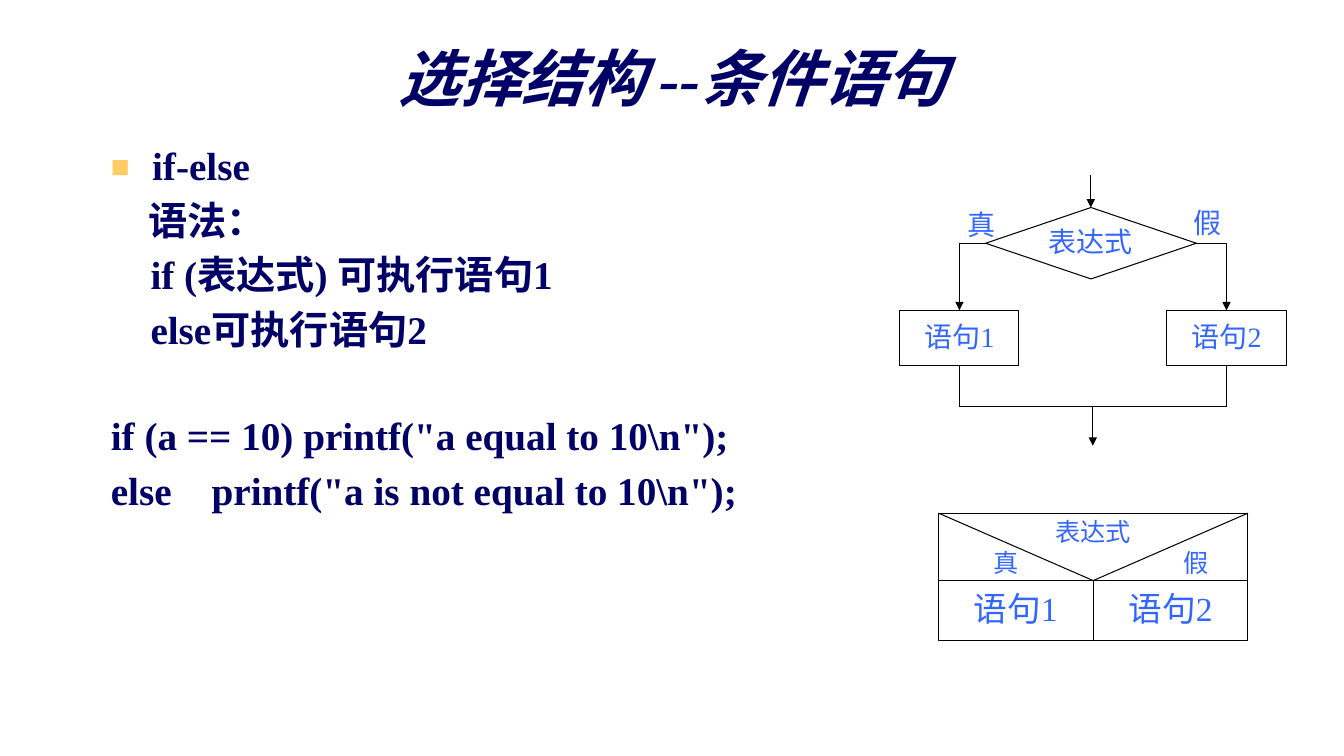
from dataclasses import dataclass

from lxml.etree import SubElement
from pptx import Presentation
from pptx.dml.color import RGBColor
from pptx.enum.shapes import MSO_CONNECTOR, MSO_SHAPE
from pptx.enum.text import MSO_ANCHOR, MSO_AUTO_SIZE, PP_ALIGN
from pptx.oxml import parse_xml
from pptx.oxml.ns import nsdecls, qn
from pptx.util import Cm, Pt

NAVY = RGBColor(0x00, 0x00, 0x66)
BLUE = RGBColor(0x33, 0x66, 0xFF)
BLACK = RGBColor(0x00, 0x00, 0x00)
FONT = "Times New Roman"


@dataclass
class SyntaxLine:
    text: str
    before: float = 7
    margin: float = 0
    indent: float = 0
    tab: float = 0
    bullet: bool = False


@dataclass
class Node:
    kind: MSO_SHAPE
    text: str
    left: float
    top: float
    width: float
    height: float
    size: int
    anchor: MSO_ANCHOR = MSO_ANCHOR.MIDDLE


@dataclass
class Label:
    text: str
    center_x: float
    center_y: float
    size: int


@dataclass
class Stroke:
    start: tuple[float, float]
    end: tuple[float, float]
    arrow: bool = False


def format_text(frame, size, color, bold=False):
    frame.auto_size = MSO_AUTO_SIZE.NONE
    for paragraph in frame.paragraphs:
        for run in paragraph.runs:
            run.font.name = FONT
            run.font.size = Pt(size)
            run.font.bold = bold
            run.font.color.rgb = color


def center_text(frame, text: str, size: int, anchor: MSO_ANCHOR):
    frame.text = text
    frame.word_wrap = False
    frame.vertical_anchor = anchor
    frame.paragraphs[0].alignment = PP_ALIGN.CENTER
    frame.paragraphs[0].line_spacing = 0.95
    format_text(frame, size, BLUE)


def draw_node(slide, node: Node):
    shape = slide.shapes.add_shape(
        node.kind, Cm(node.left), Cm(node.top), Cm(node.width), Cm(node.height))
    shape.shadow.inherit = False
    shape.fill.background()
    shape.line.color.rgb = BLACK
    shape.line.width = Pt(0.75)
    center_text(shape.text_frame, node.text, node.size, node.anchor)
    return shape


def draw_label(slide, label: Label) -> None:
    width, height = 1.2, 1.0
    box = slide.shapes.add_textbox(
        Cm(label.center_x - width / 2), Cm(label.center_y - height / 2),
        Cm(width), Cm(height))
    center_text(box.text_frame, label.text, label.size, MSO_ANCHOR.MIDDLE)


def style_connector(connector, arrow: bool) -> None:
    connector.line.color.rgb = BLACK
    connector.line.width = Pt(0.75)
    properties = connector._element.spPr
    if arrow:
        SubElement(properties.find(qn("a:ln")), qn("a:tailEnd"), type="triangle")
    SubElement(properties, qn("a:effectLst"))


def draw_stroke(slide, stroke: Stroke) -> None:
    connector = slide.shapes.add_connector(
        MSO_CONNECTOR.STRAIGHT, *map(Cm, stroke.start), *map(Cm, stroke.end))
    style_connector(connector, stroke.arrow)


def draw_branch(slide, decision, side: int, statement) -> None:
    branch = slide.shapes.add_connector(MSO_CONNECTOR.ELBOW, 0, 0, 0, 0)
    branch.begin_connect(decision, side)
    branch.end_connect(statement, 0)
    branch._element.spPr.find(qn("a:prstGeom")).set("prst", "bentConnector2")
    style_connector(branch, True)


def place(shape, left: float, top: float, width: float, height: float) -> None:
    shape.left, shape.top = Cm(left), Cm(top)
    shape.width, shape.height = Cm(width), Cm(height)


def write_title(slide) -> None:
    title = slide.shapes.title
    place(title, 2.51, 0.91, 28.88, 2.34)
    frame = title.text_frame
    frame.text = "选择结构 --条件语句"
    frame.vertical_anchor = MSO_ANCHOR.MIDDLE
    frame.paragraphs[0].alignment = PP_ALIGN.CENTER
    frame.paragraphs[0].line_spacing = 0.85
    format_text(frame, 44, NAVY, bold=True)
    run = frame.paragraphs[0].runs[0]
    run.font.italic = True
    run._r.rPr.find(qn("a:solidFill")).addnext(parse_xml(
        f'<a:effectLst {nsdecls("a")}><a:outerShdw dist="38100" dir="2700000">'
        '<a:srgbClr val="000000"/></a:outerShdw></a:effectLst>'))


def write_syntax(slide, lines: list[SyntaxLine]) -> None:
    body = slide.placeholders[1]
    place(body, 2.54, 3.53, 28.78, 14.2)
    frame = body.text_frame
    frame.text = "\n".join(line.text for line in lines)
    frame.vertical_anchor = MSO_ANCHOR.TOP
    for paragraph, line in zip(frame.paragraphs, lines):
        properties = paragraph._p.get_or_add_pPr()
        properties.set("marL", str(Cm(line.margin)))
        properties.set("indent", str(Cm(line.indent)))
        if line.bullet:
            color = SubElement(properties, qn("a:buClr"))
            SubElement(color, qn("a:srgbClr"), val="FFCC66")
            SubElement(properties, qn("a:buSzPct"), val="80000")
            SubElement(properties, qn("a:buChar"), char="■")
        else:
            SubElement(properties, qn("a:buNone"))
        if line.tab:
            tabs = SubElement(properties, qn("a:tabLst"))
            SubElement(tabs, qn("a:tab"), pos=str(Cm(line.tab)), algn="l")
        paragraph.line_spacing = 0.95
        paragraph.space_before = Pt(line.before)
    format_text(frame, 28, NAVY, bold=True)


def draw_flowchart(slide) -> None:
    left_x, middle_x, right_x = 24.18, 27.49, 30.91
    statement_top, statement_width, statement_height = 7.82, 3.0, 1.4
    merge_y = 10.24
    decision = draw_node(slide, Node(
        MSO_SHAPE.FLOWCHART_DECISION, "表达式", 24.84, 5.23, 5.31, 1.8, 20))
    for text, center_x, side in (("语句1", left_x, 1), ("语句2", right_x, 3)):
        statement = draw_node(slide, Node(
            MSO_SHAPE.FLOWCHART_PROCESS, text, center_x - statement_width / 2,
            statement_top, statement_width, statement_height, 20))
        draw_branch(slide, decision, side, statement)
        draw_stroke(slide, Stroke(
            (center_x, statement_top + statement_height), (center_x, merge_y)))
    draw_stroke(slide, Stroke((left_x, merge_y), (right_x, merge_y)))
    draw_stroke(slide, Stroke((middle_x, 4.42), (middle_x, 5.23), arrow=True))
    draw_stroke(slide, Stroke((27.54, merge_y), (27.54, 11.23), arrow=True))
    draw_label(slide, Label("真", 24.74, 5.69, 20))
    draw_label(slide, Label("假", 30.43, 5.64, 20))


def draw_box_diagram(slide) -> None:
    left, top, half, head, foot = 23.65, 12.93, 3.9, 1.7, 1.5
    split = (left + half, top + head)
    draw_node(slide, Node(MSO_SHAPE.RECTANGLE, "表达式", left, top,
                          2 * half, head, 18, MSO_ANCHOR.TOP))
    for column, text in enumerate(("语句1", "语句2")):
        draw_node(slide, Node(MSO_SHAPE.RECTANGLE, text, left + column * half,
                              top + head, half, foot, 24))
        draw_stroke(slide, Stroke((left + column * 2 * half, top), split))
    draw_label(slide, Label("真", 25.35, 14.22, 18))
    draw_label(slide, Label("假", 30.15, 14.22, 18))


def main() -> None:
    deck = Presentation()
    deck.slide_width, deck.slide_height = Cm(33.87), Cm(19.05)
    slide = deck.slides.add_slide(deck.slide_layouts[1])
    write_title(slide)
    write_syntax(slide, [
        SyntaxLine("if-else", before=0, margin=1.04, indent=-1.04, bullet=True),
        SyntaxLine("语法：", indent=0.95),
        SyntaxLine("if (表达式) 可执行语句1", indent=1),
        SyntaxLine("else\t可执行语句2", indent=1, tab=5.97),
        SyntaxLine('if (a == 10) printf("a equal to 10\\n");', before=44),
        SyntaxLine('else\tprintf("a is not equal to 10\\n");', tab=4.75),
    ])
    draw_flowchart(slide)
    draw_box_diagram(slide)
    deck.save("out.pptx")


if __name__ == "__main__":
    main()
